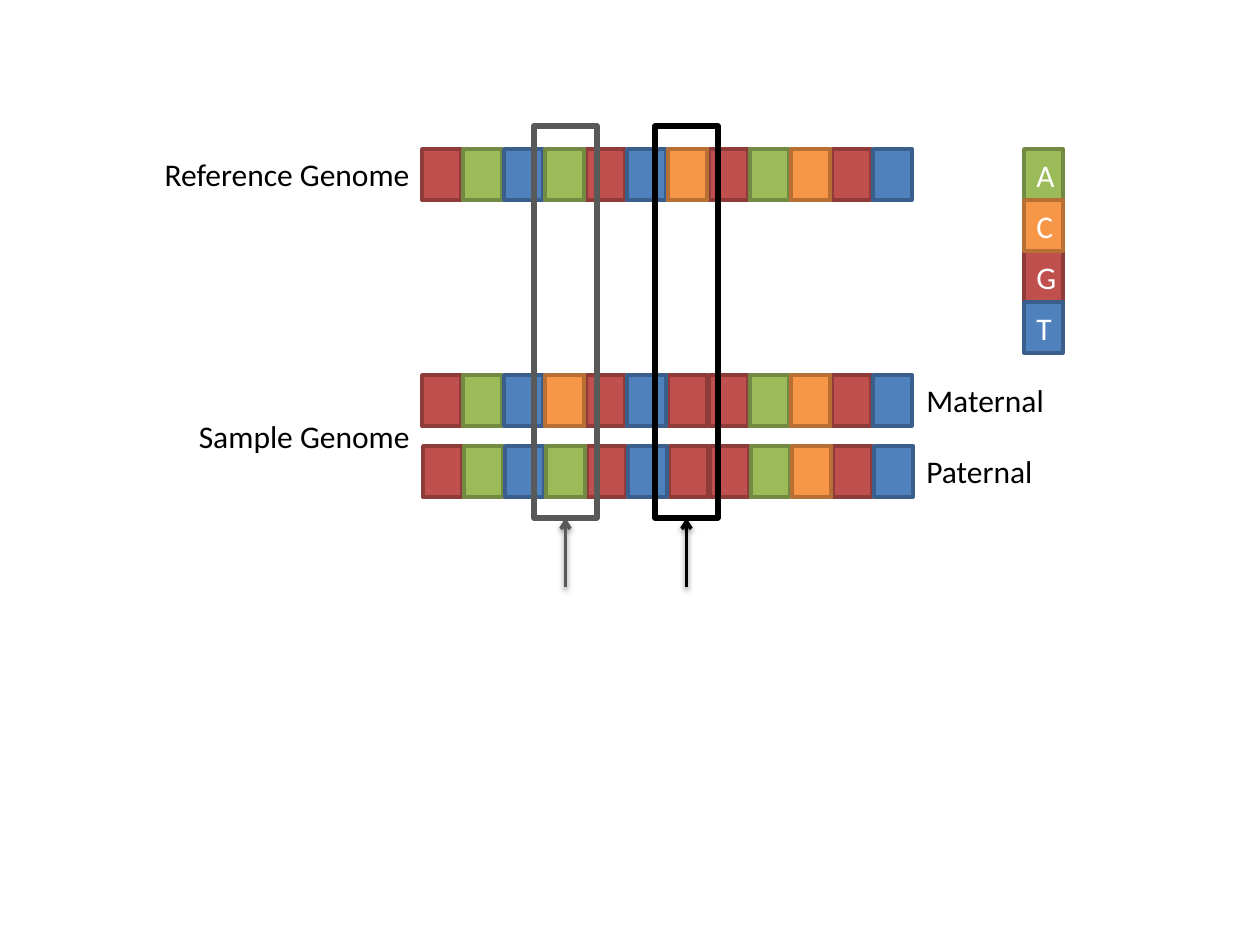
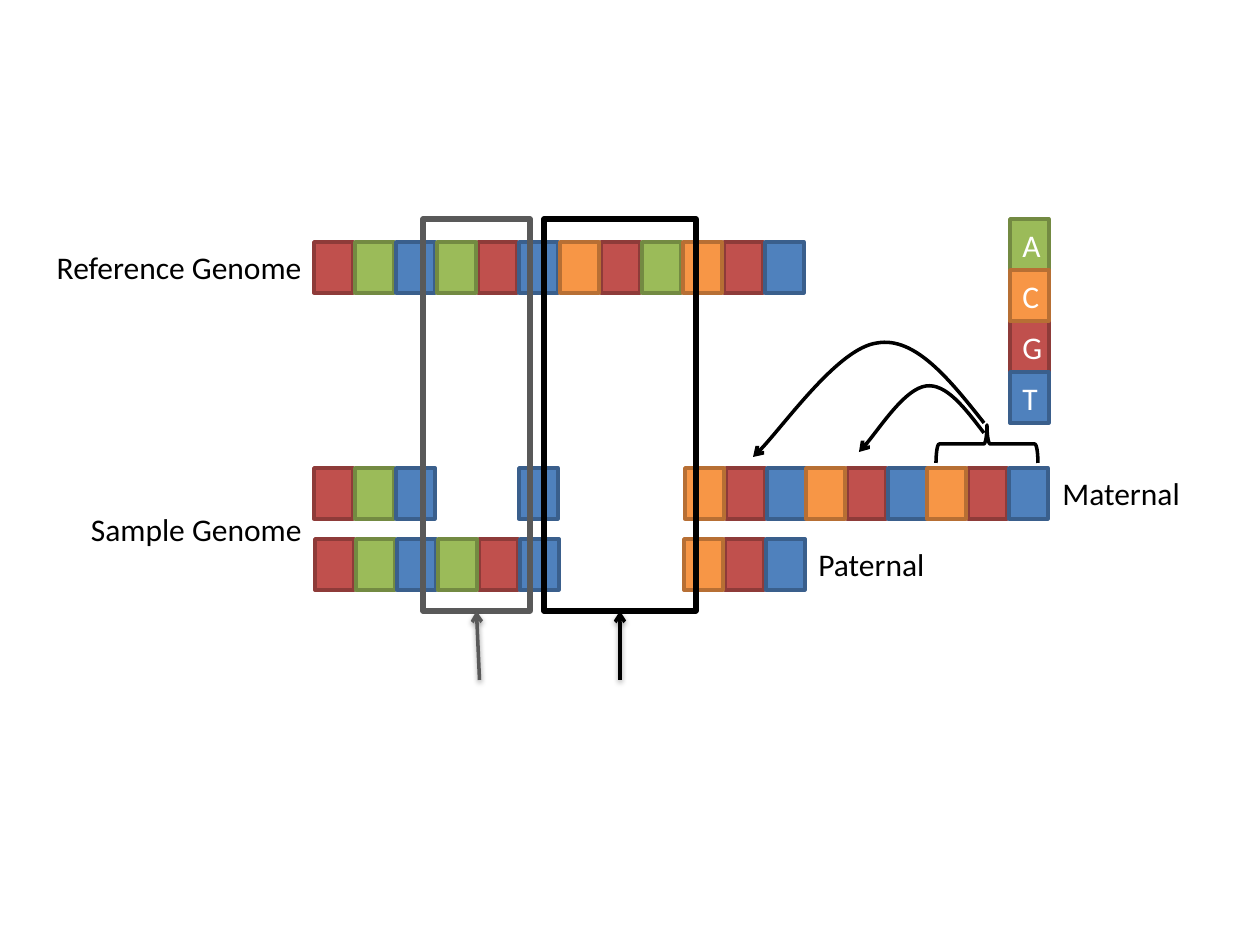
from lxml.etree import SubElement
from pptx import Presentation
from pptx.dml.color import RGBColor
from pptx.enum.shapes import MSO_CONNECTOR, MSO_SHAPE
from pptx.enum.text import MSO_ANCHOR, MSO_AUTO_SIZE, PP_ALIGN
from pptx.oxml import parse_xml
from pptx.oxml.ns import nsdecls, qn
from pptx.util import Emu, Inches, Pt

PIXELS_PER_INCH = 126
BLACK = RGBColor(0x00, 0x00, 0x00)
GREY = RGBColor(0x59, 0x59, 0x59)
WHITE = RGBColor(0xFF, 0xFF, 0xFF)
# Fill and outline of each base
BASE_COLOURS = {
    "A": (RGBColor(0x9B, 0xBB, 0x59), RGBColor(0x73, 0x8A, 0x42)),
    "C": (RGBColor(0xF7, 0x96, 0x46), RGBColor(0xB7, 0x6F, 0x34)),
    "G": (RGBColor(0xC0, 0x50, 0x4D), RGBColor(0x8E, 0x3B, 0x39)),
    "T": (RGBColor(0x4F, 0x81, 0xBD), RGBColor(0x3A, 0x5F, 0x8C)),
}
FONT = {"name": "Calibri", "size": Pt(18)}

CELL_WIDTH, CELL_HEIGHT = 39, 51
CELL_PITCH = 41
LABEL_WIDTH = 273
SIDE_LABEL_WIDTH = 152
FRAME_HEIGHT = 392
ARROW_LENGTH = 69
# Offsets from the top of the reference strip
FRAME_RISE = 23
MATERNAL_DROP = 226
SAMPLE_LABEL_DROP = 262
PATERNAL_DROP = 297

REFERENCE = "GATAGTCGACGT"
SHADOW = (
    f'<a:effectLst {nsdecls("a")}>'
    '<a:outerShdw blurRad="40000" dist="20000" dir="5400000" rotWithShape="0">'
    '<a:srgbClr val="000000"><a:alpha val="38000"/></a:srgbClr>'
    "</a:outerShdw></a:effectLst>"
)


def px(length):
    """Turn pixels into EMU."""
    return Emu(round(length * Inches(1) / PIXELS_PER_INCH))


def apply(target, values):
    """Set each attribute of the target from a dict."""
    for name, value in values.items():
        setattr(target, name, value)


class GenomeDrawing:
    """Draws genome elements in one style on the current slide."""

    def __init__(self, presentation):
        """Keep the presentation; a slide is started later."""
        self.presentation = presentation
        self.slide = None

    def new_slide(self):
        """Start a blank slide."""
        self.slide = self.presentation.slides.add_slide(
            self.presentation.slide_layouts[6])

    def outline(self, shape, colour, width=2, arrow=False):
        """Give a shape its line and, if asked, an arrowhead at the end."""
        shape.line.color.rgb = colour
        shape.line.width = Pt(width)
        if arrow:
            line = shape._element.spPr.find(qn("a:ln"))
            SubElement(line, qn("a:tailEnd"), type="arrow")

    def add_text(self, shape, text, colour, align):
        """Put one styled line of text into a shape."""
        paragraph = shape.text_frame.paragraphs[0]
        paragraph.alignment = align
        run = paragraph.add_run()
        run.text = text
        apply(run.font, FONT)
        run.font.color.rgb = colour

    def label(self, text, left, top, width, align=PP_ALIGN.LEFT):
        """Add a text box beside a strip."""
        box = self.slide.shapes.add_textbox(
            px(left), px(top), px(width), px(CELL_HEIGHT))
        apply(box.text_frame,
              {"word_wrap": True, "auto_size": MSO_AUTO_SIZE.SHAPE_TO_FIT_TEXT})
        self.add_text(box, text, BLACK, align)

    def cell(self, group, base, left, top):
        """Add the coloured box of one base to a group."""
        fill, line = BASE_COLOURS[base]
        shape = group.shapes.add_shape(
            MSO_SHAPE.RECTANGLE, px(left), px(top), px(CELL_WIDTH), px(CELL_HEIGHT))
        shape.shadow.inherit = False
        shape.fill.solid()
        shape.fill.fore_color.rgb = fill
        self.outline(shape, line)
        return shape

    def strip(self, bases, left, top):
        """Add a row of bases; a space leaves a gap, and G lies below the rest."""
        group = self.slide.shapes.add_group_shape()
        cells = [pair for pair in enumerate(bases) if pair[1] != " "]
        for column, base in sorted(cells, key=lambda pair: pair[1] != "G"):
            self.cell(group, base, left + column * CELL_PITCH, top)

    def legend(self, left, top):
        """Add the column that names the colours of the bases."""
        group = self.slide.shapes.add_group_shape()
        for row, base in sorted(enumerate("ACGT"), key=lambda pair: pair[1] == "C"):
            shape = self.cell(group, base, left, top + row * CELL_HEIGHT)
            shape.text_frame.vertical_anchor = MSO_ANCHOR.MIDDLE
            self.add_text(shape, base, WHITE, PP_ALIGN.CENTER)

    def hollow(self, kind, left, top, width, height, colour, line_width):
        """Add a preset shape without fill."""
        shape = self.slide.shapes.add_shape(
            kind, px(left), px(top), px(width), px(height))
        shape.shadow.inherit = False
        shape.fill.background()
        self.outline(shape, colour, line_width)
        return shape

    def variant_frame(self, left, reference_top, width, colour, lean=0):
        """Frame a variant and point an arrow at it from below."""
        top = reference_top - FRAME_RISE
        self.hollow(MSO_SHAPE.RECTANGLE, left, top, width, FRAME_HEIGHT, colour, 3)
        centre, bottom = left + width / 2, top + FRAME_HEIGHT
        arrow = self.slide.shapes.add_connector(
            MSO_CONNECTOR.STRAIGHT, px(centre + lean), px(bottom + ARROW_LENGTH),
            px(centre), px(bottom))
        self.outline(arrow, colour, arrow=True)
        arrow._element.spPr.append(parse_xml(SHADOW))

    def brace(self, left, top, width, height):
        """Add a brace that opens downwards."""
        shape = self.hollow(
            MSO_SHAPE.RIGHT_BRACE, left, top, width, height, BLACK, 2)
        shape.rotation = 270

    def curved_arrow(self, start, *points):
        """Add a curve; each three points are two controls and an end."""
        builder = self.slide.shapes.build_freeform(px(start[0]), px(start[1]))
        builder.add_line_segments([(px(x), px(y)) for x, y in points], close=False)
        shape = builder.convert_to_shape()
        shape.shadow.inherit = False
        shape.fill.background()
        self.outline(shape, BLACK, arrow=True)
        curve = next(shape._element.iter(qn("a:path")))
        segments = curve.findall(qn("a:lnTo"))
        for first in range(0, len(segments), 3):
            bezier = SubElement(curve, qn("a:cubicBezTo"))
            for segment in segments[first:first + 3]:
                bezier.append(segment[0])
                curve.remove(segment)

    def genome_rows(self, left, top, maternal, paternal):
        """Add the reference and sample strips with their left labels."""
        for text, drop in (("Reference Genome", 0),
                           ("Sample Genome", SAMPLE_LABEL_DROP)):
            self.label(text, left - LABEL_WIDTH, top + drop, LABEL_WIDTH,
                       PP_ALIGN.RIGHT)
        self.strip(REFERENCE, left, top)
        self.strip(maternal, left, top + MATERNAL_DROP)
        self.strip(paternal, left + 1, top + PATERNAL_DROP)

    def parent_labels(self, maternal_left, paternal_left, top):
        """Name the two sample strips at their right ends."""
        self.label("Maternal", maternal_left, top + MATERNAL_DROP, SIDE_LABEL_WIDTH)
        self.label("Paternal", paternal_left, top + PATERNAL_DROP, SIDE_LABEL_WIDTH)


def draw_substitutions(drawing):
    """Draw the slide on single-base variants."""
    left, top = 422, 149
    strip_end = left + len(REFERENCE) * CELL_PITCH
    drawing.new_slide()
    drawing.genome_rows(left, top, "GATCGTGGACGT", "GATAGTGGACGT")
    drawing.legend(1024, top)
    drawing.parent_labels(strip_end, strip_end, top)
    drawing.variant_frame(655, top, 63, BLACK)
    drawing.variant_frame(534, top, 63, GREY)


def draw_structural_variants(drawing):
    """Draw the slide on deletions and a repeated triplet."""
    left, top = 314, 242
    repeat_left, repeat_pitch, repeats = 685, 121, 3
    drawing.new_slide()
    drawing.genome_rows(left, top, "GAT  T", "GATAGT   CGT")
    drawing.legend(1010, top - FRAME_RISE)
    for repeat in range(repeats):
        drawing.strip("CGT", repeat_left + repeat * repeat_pitch,
                      top + MATERNAL_DROP)
    drawing.parent_labels(1050, left + len(REFERENCE) * CELL_PITCH, top)
    drawing.brace(968, 393, 38, 102)
    drawing.curved_arrow((984, 423), (950, 380), (915, 336), (877, 343),
                         (839, 348), (775, 438), (753, 457))
    drawing.curved_arrow((984, 433), (965, 408), (946, 383), (926, 386),
                         (905, 389), (871, 441), (859, 452))
    drawing.variant_frame(423, top, 107, GREY, lean=3)
    drawing.variant_frame(544, top, 152, BLACK)


def main():
    """Build and save the presentation."""
    presentation = Presentation()
    apply(presentation, {"slide_width": Inches(10), "slide_height": Inches(7.5)})
    drawing = GenomeDrawing(presentation)
    draw_substitutions(drawing)
    draw_structural_variants(drawing)
    presentation.save("out.pptx")


main()
